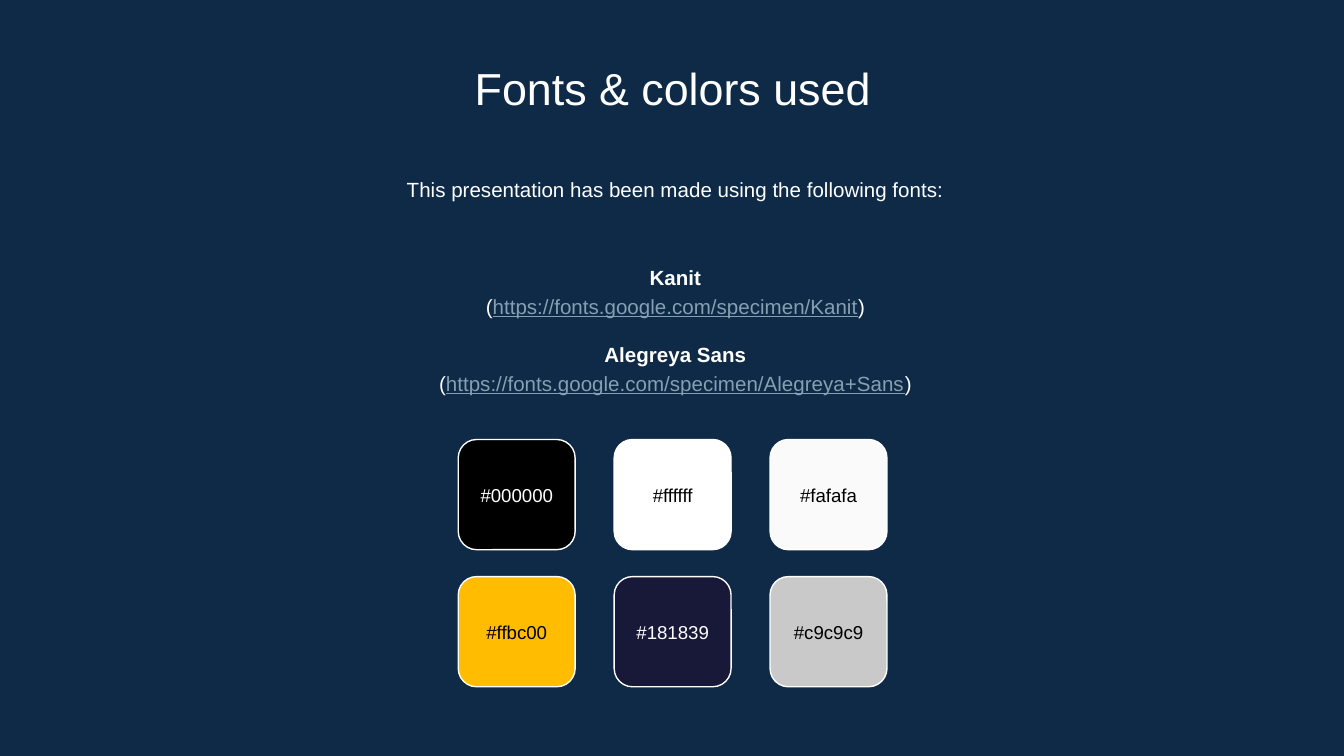
from pptx import Presentation
from pptx.dml.color import RGBColor
from pptx.enum.shapes import MSO_SHAPE
from pptx.enum.text import MSO_ANCHOR, PP_ALIGN
from pptx.util import Inches, Pt

NAVY = RGBColor(0x0E, 0x2A, 0x47)
WHITE = RGBColor(0xFF, 0xFF, 0xFF)
BLACK = RGBColor(0x00, 0x00, 0x00)
LINK = RGBColor(0x86, 0x9F, 0xB2)

CELL = 0.1
SWATCHES = [["#000000", "#ffffff", "#fafafa"], ["#ffbc00", "#181839", "#c9c9c9"]]
LIGHT_LABELS = {"#000000", "#181839"}
FONTS = [
    ("Kanit", "https://fonts.google.com/specimen/Kanit"),
    ("Alegreya Sans", "https://fonts.google.com/specimen/Alegreya+Sans"),
]


class Deck:
    """Style and current slide, measured in columns and rows of a 0.1 inch grid."""

    def __init__(self, cols, rows):
        self.prs = Presentation()
        self.prs.slide_width = Inches(cols * CELL)
        self.prs.slide_height = Inches(rows * CELL)
        self.base = {"name": "Arial", "size": Pt(11), "bold": False, "underline": False}
        self.s = self.prs.slides.add_slide(self.prs.slide_layouts[6])
        fill = self.s.background.fill
        fill.solid()
        fill.fore_color.rgb = NAVY

    def box(self, col, row, width, height):
        return [Inches(n * CELL) for n in (col, row, width, height)]

    def run(self, p, text, color=WHITE, **style):
        r = p.add_run()
        r.text = text
        for key, value in {**self.base, **style}.items():
            setattr(r.font, key, value)
        r.font.color.rgb = color

    def text(self, area, paragraphs, anchor=MSO_ANCHOR.TOP, **spacing):
        tf = self.s.shapes.add_textbox(*self.box(*area)).text_frame
        frame = {"word_wrap": True, "vertical_anchor": anchor}
        for side in ("left", "right", "top", "bottom"):
            frame[f"margin_{side}"] = Inches(0.1)
        for key, value in frame.items():
            setattr(tf, key, value)
        for i, (before, runs) in enumerate(paragraphs):
            p = tf.paragraphs[0] if i == 0 else tf.add_paragraph()
            layout = {"alignment": PP_ALIGN.CENTER, **spacing}
            if i and before:
                layout["space_before"] = Pt(before)
            for key, value in layout.items():
                setattr(p, key, value)
            for text, style in runs:
                self.run(p, text, **style)

    def swatch(self, col, row, code):
        width, height, label_height = 8.7, 8.2, 4.8
        area = self.box(col, row, width, height)
        sp = self.s.shapes.add_shape(MSO_SHAPE.ROUNDED_RECTANGLE, *area)
        sp.shadow.inherit = False
        sp.fill.solid()
        sp.fill.fore_color.rgb = RGBColor.from_string(code[1:].upper())
        sp.line.color.rgb = WHITE
        sp.line.width = Pt(0.75)
        style = {"color": WHITE if code in LIGHT_LABELS else BLACK, "size": Pt(10)}
        label = (col, row + (height - label_height) / 2, width, label_height)
        self.text(label, [(0, [(code, style)])], MSO_ANCHOR.MIDDLE)


def main():
    deck = Deck(100, 56.25)
    deck.text((11.5, 3.5, 77.1, 5.3), [(0, [("Fonts & colors used", {"size": Pt(24)})])])
    intro = "This presentation has been made using the following fonts:"
    deck.text((11.7, 11.9, 77.1, 4.8), [(0, [(intro, {})])], line_spacing=1.15)

    credits = []
    for name, url in FONTS:
        link = (url, {"color": LINK, "underline": True})
        credits.append((11, [(name, {"bold": True})]))
        credits.append((0, [("(", {}), link, (")", {})]))
    deck.text((11.7, 17.6, 77.1, 13.7), credits, MSO_ANCHOR.MIDDLE, line_spacing=1.15)

    for j, codes in enumerate(SWATCHES):
        for i, code in enumerate(codes):
            deck.swatch(34.1 + 11.6 * i, 32.7 + 10.2 * j, code)
    deck.prs.save("out.pptx")


if __name__ == "__main__":
    main()
